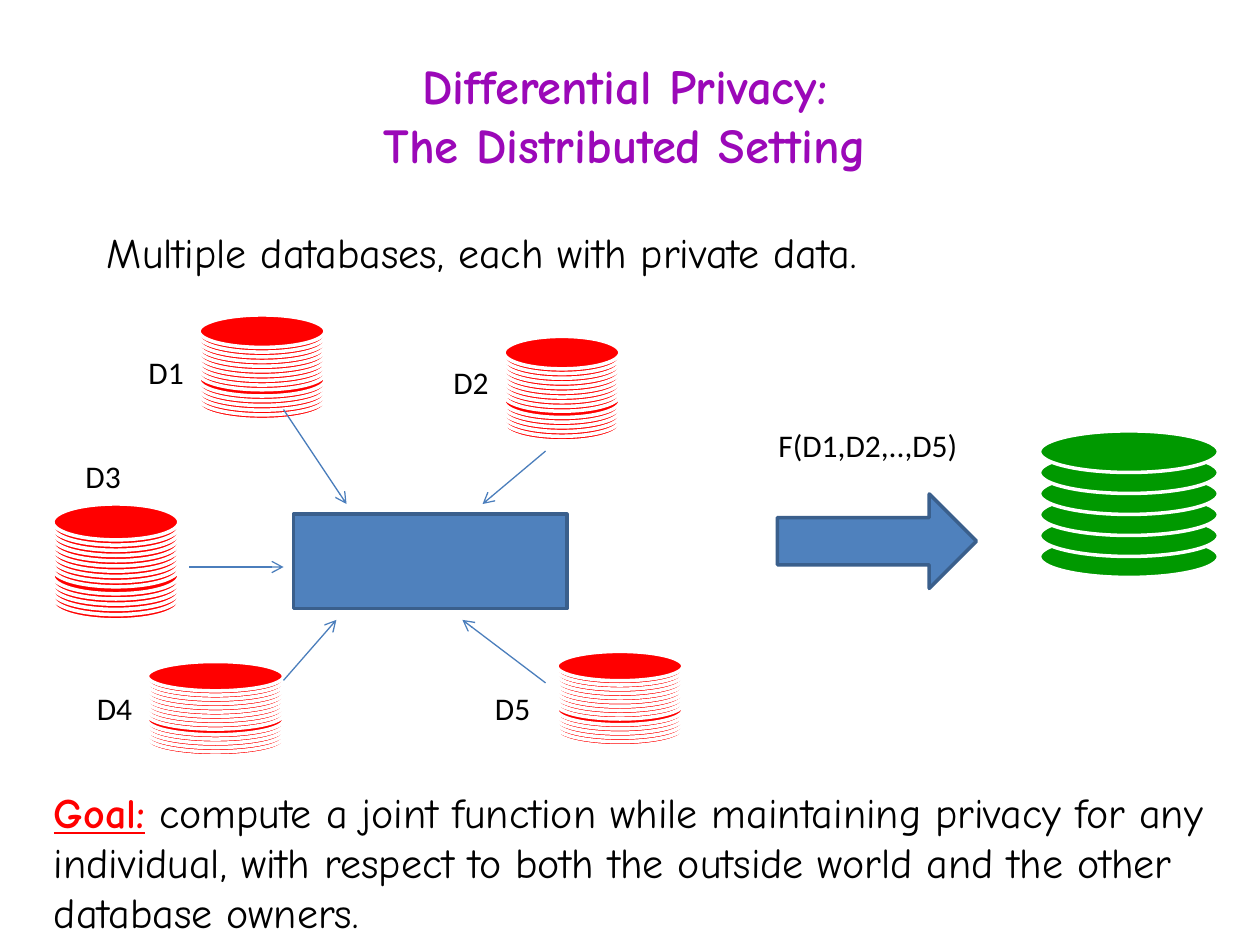
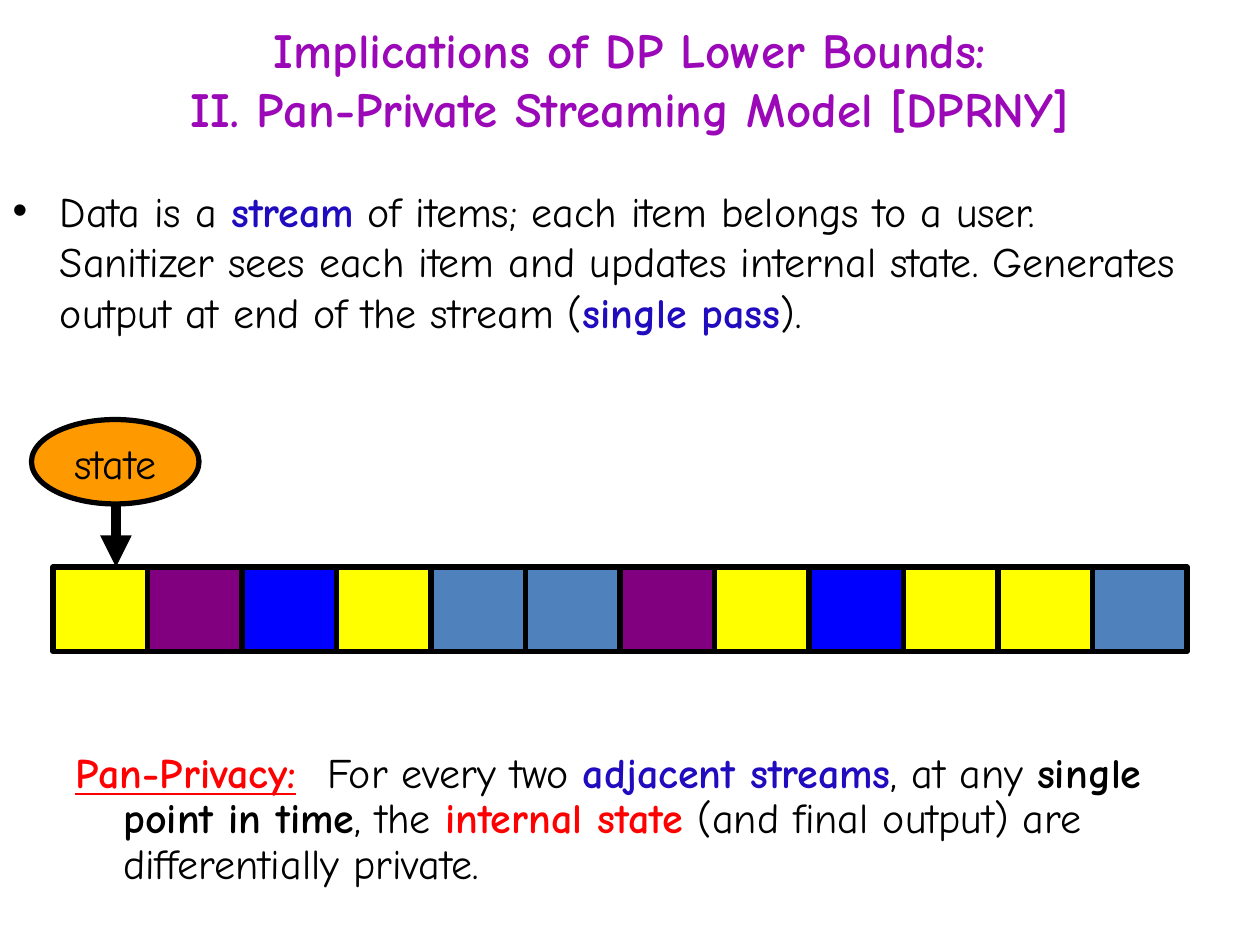
from pptx import Presentation
from pptx.dml.color import RGBColor as Rgb
from pptx.enum.shapes import MSO_CONNECTOR as Link, MSO_SHAPE as Form
from pptx.enum.text import MSO_ANCHOR as Anchor, MSO_AUTO_SIZE as Fit, PP_ALIGN as Align
from pptx.oxml.ns import qn
from pptx.util import Inches, Pt
from lxml.etree import SubElement

COLORS = {
    "title": "9B08B8", "black": "000000", "white": "FFFFFF", "red": "FF0000",
    "ink": "200BBF", "green": "009900", "steel": "4F81BD", "edge": "3A5F8C",
    "link": "4B7EBC", "yellow": "FFFF00", "blue": "0000FF", "purple": "800080",
    "orange": "FF9900",
}
PLAIN = {"color": "black"}
KEY = {"color": "ink", "bold": True}
ALERT = {"color": "red", "bold": True}
HEAD = {"color": "red", "bold": True, "underline": True}
STRONG = {"color": "black", "bold": True}


def rgb(name):
    return Rgb.from_string(COLORS[name])


class Deck:
    hand = "Comic Neue"
    label = "Calibri"

    def __init__(self):
        self.show = Presentation()
        self.show.slide_width = Inches(10)
        self.show.slide_height = Inches(7.5)
        self.slide = None

    def start(self, layout):
        self.slide = self.show.slides.add_slide(self.show.slide_layouts[layout])

    def place(self, shape, left, top, width, height):
        spots = {"left": left, "top": top, "width": width, "height": height}
        for name, value in spots.items():
            setattr(shape, name, Inches(value))

    def fill_in(self, par, runs, size=24, face=hand):
        for text, style in runs:
            run = par.add_run()
            run.text = text
            form = {"name": face, "size": Pt(size), "bold": False, **style}
            run.font.color.rgb = rgb(form.pop("color"))
            space = form.pop("space", None)
            if space:
                run._r.get_or_add_rPr().set("spc", str(space * 100))
            for name, value in form.items():
                setattr(run.font, name, value)

    def title(self, lines, box, size=28, base=0.05):
        shape = self.slide.shapes.title
        self.place(shape, *box)
        frame = shape.text_frame
        form = {"auto_size": Fit.NONE, "word_wrap": True,
                "vertical_anchor": Anchor.MIDDLE, "margin_bottom": Inches(base)}
        for name, value in form.items():
            setattr(frame, name, value)
        par = frame.paragraphs[0]
        par.alignment = Align.CENTER
        for i, line in enumerate(lines):
            if i:
                par.add_line_break()
            self.fill_in(par, [(line, {"color": "title", "bold": True})], size)

    def body(self, runs, box):
        shape = self.slide.placeholders[1]
        self.place(shape, *box)
        shape.text_frame.auto_size = Fit.NONE
        self.fill_in(shape.text_frame.paragraphs[0], runs)

    def text(self, runs, box, size=24, face=hand, wrap=True, fit=Fit.SHAPE_TO_FIT_TEXT):
        shape = self.slide.shapes.add_textbox(*map(Inches, box))
        shape.text_frame.word_wrap = wrap
        shape.text_frame.auto_size = fit
        self.fill_in(shape.text_frame.paragraphs[0], runs, size, face)
        return shape

    def tag(self, text, left, top, width=0.49):
        self.text([(text, PLAIN)], (left, top, width, 0.4), 18, self.label, False)

    def shape(self, form, box, fill, line, weight=2.0):
        shape = self.slide.shapes.add_shape(form, *map(Inches, box))
        shape.shadow.inherit = False
        shape.fill.solid()
        shape.fill.fore_color.rgb = rgb(fill)
        shape.line.color.rgb = rgb(line)
        shape.line.width = Pt(weight)
        return shape

    def arrow(self, start, end, color="link", weight=0.75, head="arrow"):
        line = self.slide.shapes.add_connector(Link.STRAIGHT, *map(Inches, start + end))
        line.line.color.rgb = rgb(color)
        line.line.width = Pt(weight)
        props = line._element.spPr
        SubElement(props.get_or_add_ln(), qn("a:tailEnd"), type=head)
        SubElement(props, qn("a:effectLst"))
        return line

    def group(self, shapes):
        self.slide.shapes.add_group_shape(shapes)

    def stack(self, left, top, width, disk, count, pitch, fill, slip=0.0):
        disks = []
        for i in reversed(range(count)):
            drop = i * pitch + (slip if i > 9 else 0)
            box = (left, top + drop, width, disk)
            disks.append(self.shape(Form.OVAL, box, fill, "white"))
        self.group(disks)

    def store(self, left, top, width, tall):
        self.stack(left, top, width, tall * 0.31, 16, tall * 0.045, "red", tall * 0.015)


def setting(deck):
    deck.start(5)
    deck.title(["Differential Privacy:", "The Distributed Setting"],
               (0.5, 0.5, 8.92, 1.17), 27.9, 0.4)

    stores = [(1.58, 2.5, 1, 0.83), (1.17, 5.25, 1.08, 0.75), (0.42, 4, 1, 0.92),
              (4, 2.67, 0.92, 0.83), (4.42, 5.17, 1, 0.75)]
    for store in stores:
        deck.store(*store)
    deck.stack(8.25, 3.42, 1.42, 0.33, 6, 1 / 6, "green")

    deck.shape(Form.RECTANGLE, (2.33, 4.08, 2.17, 0.75), "steel", "edge")
    deck.shape(Form.RIGHT_ARROW, (6.17, 3.92, 1.58, 0.75), "steel", "edge")
    links = [((2.25, 3.25), (2.75, 4)), ((4.33, 3.58), (3.83, 4)),
             ((4.33, 5.42), (3.67, 4.92)), ((1.5, 4.5), (2.25, 4.5)),
             ((2.25, 5.4), (2.67, 4.92))]
    for start, end in links:
        deck.arrow(start, end)

    deck.text([("Goal:", HEAD),
               (" compute a joint function while maintaining privacy for any individual, "
                "with respect to both the outside world and the other database owners.", PLAIN)],
              (0.33, 6.19, 9.67, 1.31))
    deck.text([("Multiple databases, each with private data.", PLAIN)], (0.75, 1.75, 8.5, 0.5))
    spots = [(1.08, 2.75), (3.5, 2.83), (0.58, 3.58), (0.67, 5.42), (3.83, 5.42)]
    for i, spot in enumerate(spots, 1):
        deck.tag(f"D{i}", *spot)
    deck.tag("F(D1,D2,..,D5)", 6.08, 3.33, 1.64)


def stream(deck):
    deck.start(1)
    deck.title(["Implications of DP Lower Bounds:", "II. Pan-Private Streaming Model [DPRNY]"],
               (0.5, 0, 9, 1.25))
    deck.body([("Data is a ", PLAIN), ("stream", KEY),
               (" of items; each item belongs to a user. Sanitizer sees each item and updates "
                "internal state. Generates output at end of the stream (", PLAIN),
               ("single pass", KEY), (").", PLAIN)],
              (0, 1.42, 9.5, 6.08))

    items = ["yellow", "purple", "blue", "yellow", "steel", "steel",
             "purple", "yellow", "blue", "yellow", "yellow", "steel"]
    side = 0.75
    for i, item in enumerate(items):
        deck.shape(Form.RECTANGLE, (0.42 + i * side, 4.5, side, 0.67), item, "black", 3)

    oval = deck.shape(Form.OVAL, (0.25, 3.33, 1.33, 0.67), "orange", "black", 3)
    state = deck.text([("state", PLAIN)], (0.25, 3.42, 1.42, 0.51))
    state.text_frame.margin_left = Inches(0.34)
    arrow = deck.arrow((0.92, 4), (0.92, 4.5), "black", 6, "triangle")
    deck.group([oval, state, arrow])

    claim = deck.text([("Pan-Privacy:", HEAD), (" ", {**ALERT, "space": 9}),
                       ("For every two ", PLAIN), ("adjacent streams", KEY),
                       (", at any ", PLAIN), ("single point in time", STRONG),
                       (", the ", PLAIN), ("internal state ", ALERT),
                       ("(and final output) are differentially private.", PLAIN)],
                      (0.5, 5.92, 9, 1.58), fit=Fit.NONE)
    par = claim.text_frame.paragraphs[0]
    par.line_spacing = 0.9
    hang = Inches(0.38)
    for name, value in {"marL": hang, "indent": -hang}.items():
        par._p.get_or_add_pPr().set(name, str(value))


def main():
    deck = Deck()
    setting(deck)
    stream(deck)
    deck.show.save("out.pptx")


if __name__ == "__main__":
    main()
